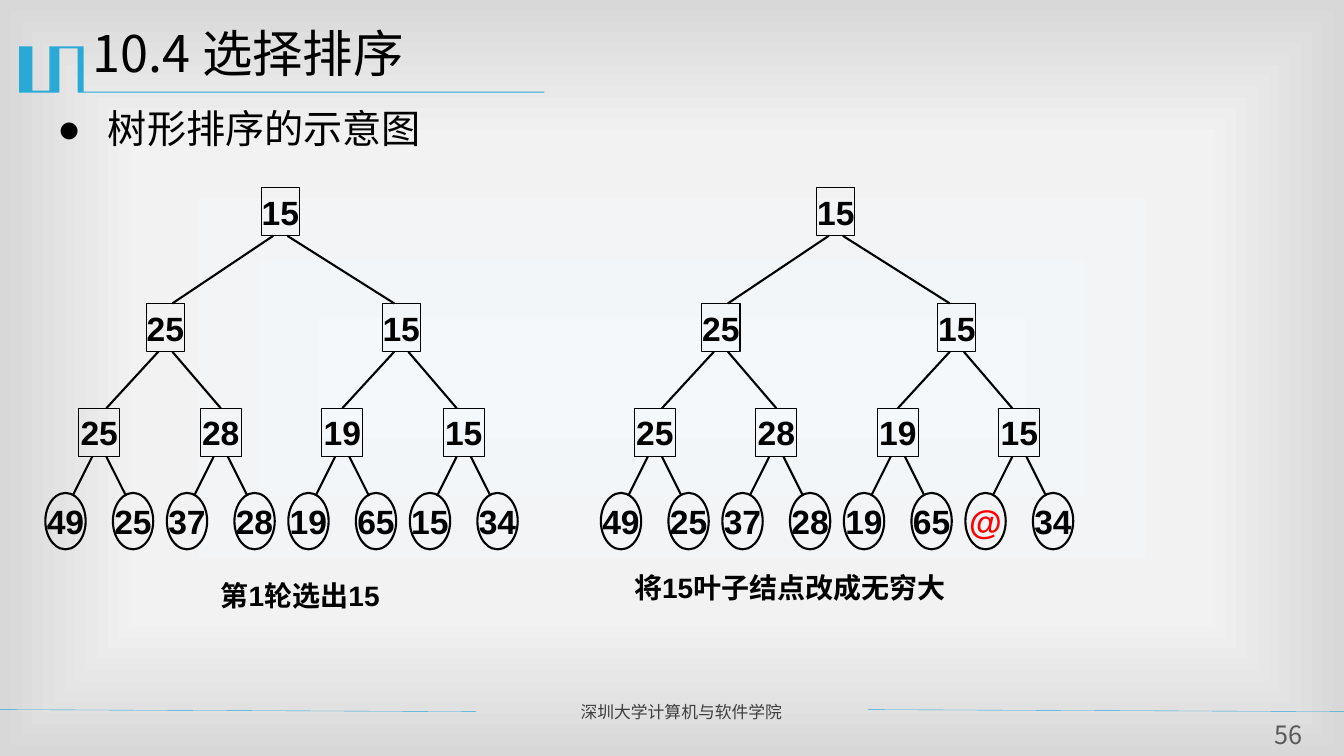
from dataclasses import dataclass

from lxml import etree
from pptx import Presentation
from pptx import util as u
from pptx.dml.color import RGBColor
from pptx.enum import shapes, text
from pptx.oxml import parse_xml
from pptx.oxml.ns import nsdecls, qn


@dataclass(frozen=True)
class Theme:
    ink: str = "000000"
    mark: str = "FF0000"
    teal: str = "28A9D6"
    foot: str = "3F3F3F"
    page: str = "595959"
    back: tuple = ((0, "F4F8FB"), (63, "F2F2F2"), (100, "D8D8D8"))
    cjk: str = "Noto Sans CJK SC"
    latin: str = "Arial"
    head: int = 36
    body: int = 28
    node: int = 24
    label: int = 20
    num: int = 18
    small: int = 12


@dataclass(frozen=True)
class Level:
    """One row of a tree: centres across, top edge, node size, shape and line."""
    mids: tuple
    top: float
    wide: float
    tall: float
    kind: int
    line: float


@dataclass(frozen=True)
class Tree:
    left: float
    keys: tuple
    note: str
    spot: tuple  # caption left, top, width


T = Theme()
BOX, OVAL = shapes.MSO_SHAPE.RECTANGLE, shapes.MSO_SHAPE.OVAL
LEFT, MID = text.PP_ALIGN.LEFT, text.PP_ALIGN.CENTER
LOW = tuple(9.85 + 12.05 * i for i in range(4))
LEVELS = (
    Level((27.8,), 18.6, 3.8, 4.8, BOX, 0.75),
    Level((16.4, 39.8), 30.1, 3.8, 4.8, BOX, 0.75),
    Level(LOW, 40.5, 4.1, 4.8, BOX, 0.75),
    Level(tuple(m + d for m in LOW for d in (-3.35, 3.35)),
          48.9, 4, 5.6, OVAL, 1.5),
)
TOP = (("15",), ("25", "15"), ("25", "28", "19", "15"))
TREES = (
    Tree(0, TOP + (("49", "25", "37", "28", "19", "65", "15", "34"),),
         "第1轮选出15", (20.9, 56.9, 20.3)),
    Tree(55.1, TOP + (("49", "25", "37", "28", "19", "65", "@", "34"),),
         "将15叶子结点改成无穷大", (61.9, 56.1, 38.3)),
)
INSET = 0.7  # how far an edge stands off the middle of a node


def cell(n: float) -> int:
    """Columns or rows of the slide's grid, ten to the inch."""
    return u.Inches(n / 10)


def tint(code: str) -> RGBColor:
    return RGBColor.from_string(code)


def write(shape, words: str, *, size: int, font: str = T.cjk,
          color: str = T.ink, bold: bool = False, align=LEFT,
          anchor=text.MSO_ANCHOR.TOP, wrap: bool = True,
          pad: float | None = None, lead: float = 1.0):
    frame = shape.text_frame
    frame.auto_size = text.MSO_AUTO_SIZE.NONE
    frame.word_wrap = wrap
    frame.vertical_anchor = anchor
    if pad is not None:
        frame.margin_left = frame.margin_right = cell(pad)
        frame.margin_top = frame.margin_bottom = cell(pad)
    para = frame.paragraphs[0]
    para.alignment, para.line_spacing = align, lead
    para.space_before = u.Pt(0)
    run = para.add_run()
    run.text = words
    run.font.size, run.font.bold = u.Pt(size), bold
    run.font.color.rgb = tint(color)
    run.font.name = font
    east = etree.SubElement(run.font._element, qn("a:ea"))
    east.set("typeface", T.cjk)
    return para


def place(shape, x: float, y: float, w: float, h: float) -> None:
    shape.left, shape.top = cell(x), cell(y)
    shape.width, shape.height = cell(w), cell(h)


def label(slide, x: float, y: float, w: float, h: float, words: str, **form):
    area = slide.shapes.add_textbox(cell(x), cell(y), cell(w), cell(h))
    return write(area, words, **form)


def edge(slide, x: float, y: float, to_x: float, to_y: float,
         color: str = T.ink, width: float = 1.5):
    line = slide.shapes.add_connector(
        shapes.MSO_CONNECTOR.STRAIGHT, cell(x), cell(y), cell(to_x), cell(to_y))
    line.line.color.rgb = tint(color)
    line.line.width = u.Pt(width)
    etree.SubElement(line._element.spPr, qn("a:effectLst"))
    return line


def node(slide, level: Level, mid: float, key: str):
    shape = slide.shapes.add_shape(
        level.kind, cell(mid - level.wide / 2), cell(level.top),
        cell(level.wide), cell(level.tall))
    shape.shadow.inherit = False
    shape.fill.background()
    shape.line.color.rgb = tint(T.ink)
    shape.line.width = u.Pt(level.line)
    write(shape, key, size=T.node, font=T.latin, bold=True, align=MID,
          color=T.mark if key == "@" else T.ink,
          anchor=text.MSO_ANCHOR.MIDDLE, wrap=False)
    return shape


def plant(slide, tree: Tree) -> None:
    rows = [[node(slide, lev, tree.left + m, k) for m, k in zip(lev.mids, keys)]
            for lev, keys in zip(LEVELS, tree.keys)]
    for depth, (up, down) in enumerate(zip(LEVELS, LEVELS[1:])):
        for i, mid in enumerate(down.mids):
            side = 1 if i % 2 else -1
            inner = depth == 1 and i in (1, 2)
            dip = 0.3 if down.kind == OVAL else 0
            line = edge(slide, tree.left + up.mids[i // 2] + side * INSET,
                        up.top + up.tall,
                        tree.left + mid - side * INSET, down.top + dip)
            if inner:
                line.end_connect(rows[depth + 1][i], 0)
    x, y, w = tree.spot
    label(slide, x, y, w, 4.4, tree.note, size=T.label, font=T.latin, bold=True)


def backdrop(slide) -> None:
    stops = "".join(f'<a:gs pos="{p * 1000}"><a:srgbClr val="{c}"/></a:gs>'
                    for p, c in T.back)
    slide.element.cSld.insert(0, parse_xml(
        f'<p:bg {nsdecls("p", "a")}><p:bgPr><a:gradFill rotWithShape="1">'
        f'<a:gsLst>{stops}</a:gsLst><a:path path="rect"><a:fillToRect l="50000" '
        't="50000" r="50000" b="50000"/></a:path></a:gradFill><a:effectLst/>'
        '</p:bgPr></p:bg>'))


def banner(slide) -> None:
    dots = ((8.3, 4.6), (8.3, 9.1), (54, 9.1), (54, 9.2), (7.7, 9.2),
            (7.7, 4.8), (5.9, 4.8), (5.9, 9.2), (1.9, 9.2), (1.9, 4.6),
            (3.2, 4.6), (3.2, 9), (4.9, 9), (4.9, 4.6))
    pen = slide.shapes.build_freeform(cell(dots[0][0]), cell(dots[0][1]))
    pen.add_line_segments([(cell(x), cell(y)) for x, y in dots[1:]], close=True)
    shape = pen.convert_to_shape()
    shape.shadow.inherit = False
    shape.fill.solid()
    shape.fill.fore_color.rgb = tint(T.teal)
    shape.line.fill.background()


def main() -> None:
    deck = Presentation()
    deck.slide_width, deck.slide_height = u.Inches(13.33), u.Inches(7.5)
    slide = deck.slides.add_slide(deck.slide_layouts[1])
    backdrop(slide)
    banner(slide)

    # Title and bullet
    title, body = slide.placeholders
    place(title, 8.2, 2.4, 120, 8.7)
    write(title, "10.4 选择排序", size=T.head, lead=0.9)
    place(body, 4.7, 10.4, 121.3, 56.3)
    item = write(body, "树形排序的示意图", size=T.body, lead=0.9)
    props = item._p.get_or_add_pPr()
    props.set("marL", str(cell(5)))
    props.set("indent", str(-cell(5)))
    etree.SubElement(props, qn("a:buFont")).set("typeface", T.latin)
    etree.SubElement(props, qn("a:buChar")).set("char", "●")

    # Trees
    for tree in TREES:
        plant(slide, tree)

    # Footer
    for x in (0, 86.1):
        edge(slide, x, 70.4, x + 47.2, 70.6, T.teal, 0.25)
    label(slide, 56.6, 69.1, 28.5, 3, "深圳大学计算机与软件学院",
          size=T.small, color=T.foot)
    label(slide, 124.8, 71.3, 5.9, 3.1, "56", size=T.num, color=T.page,
          align=MID, anchor=text.MSO_ANCHOR.MIDDLE, pad=0)
    deck.save("out.pptx")


if __name__ == "__main__":
    main()
